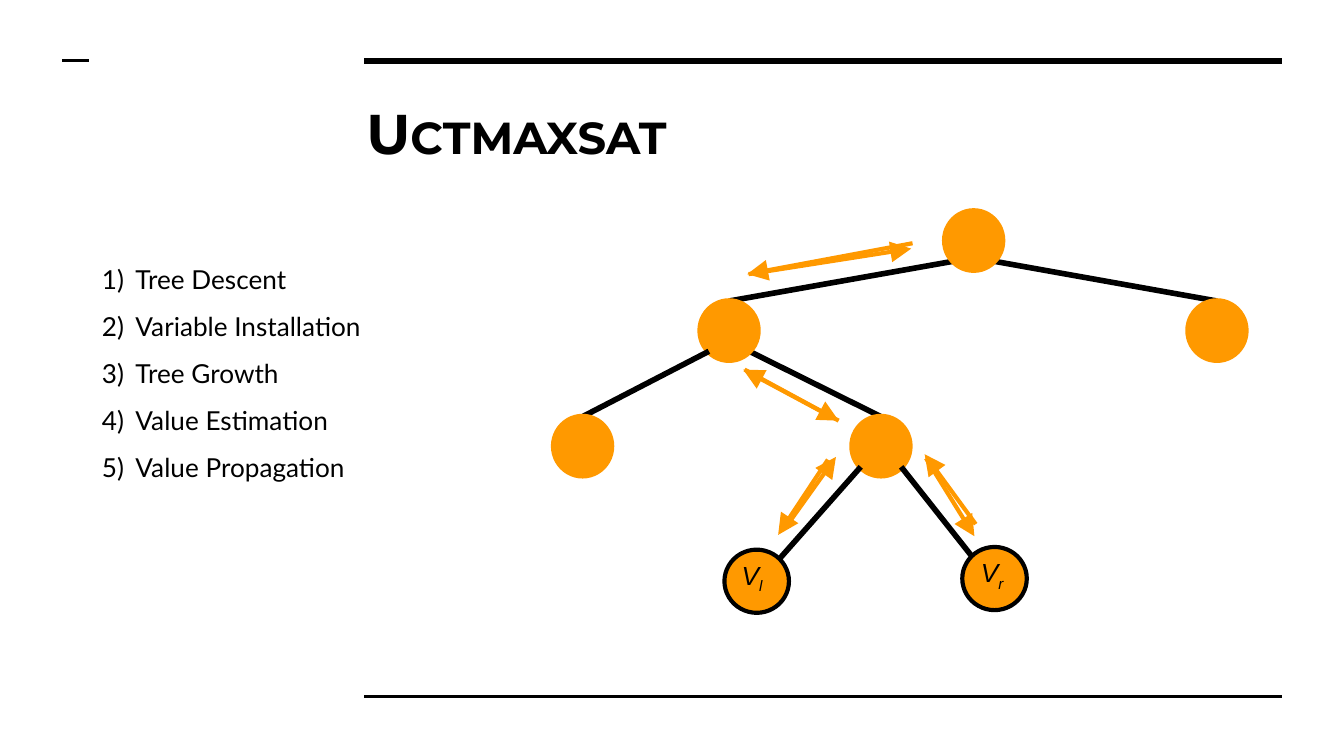
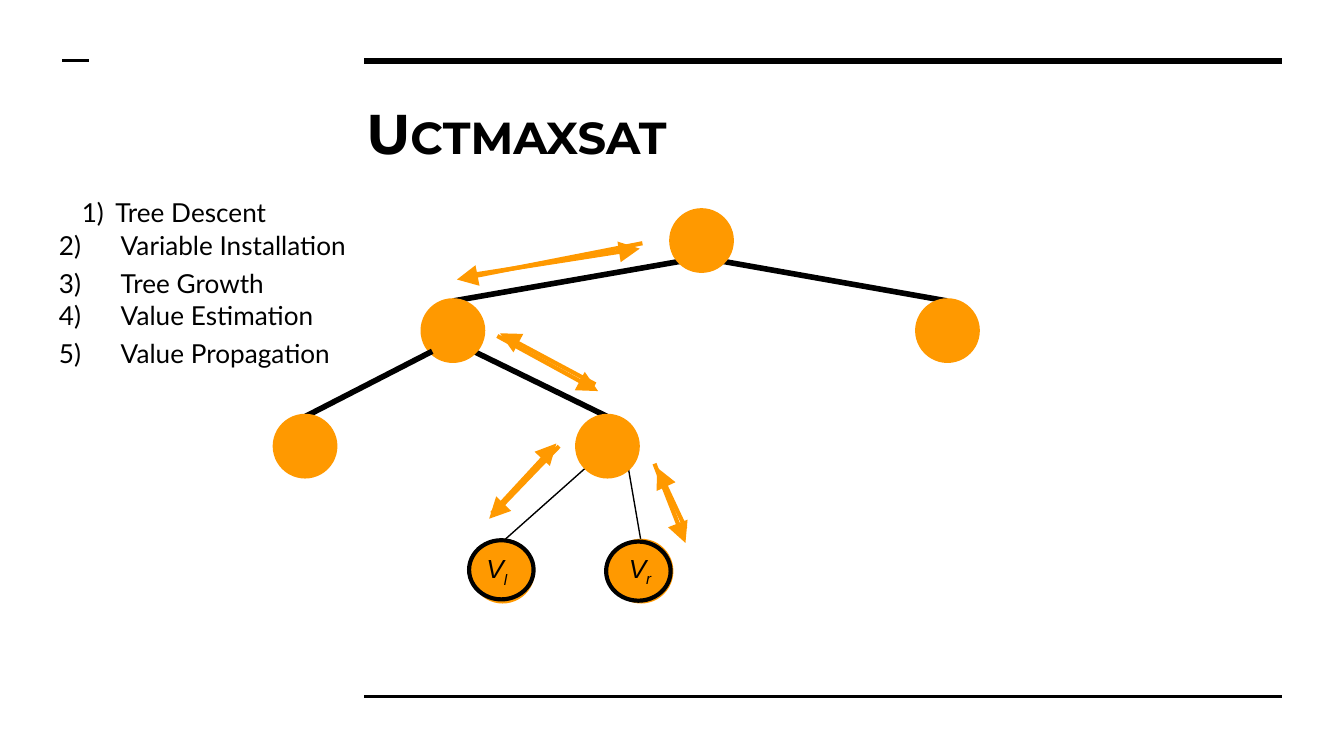
import dataclasses
import typing

import lxml.etree
import pptx
import pptx.dml.color
import pptx.enum.shapes
import pptx.enum.text
import pptx.oxml.ns
import pptx.util

COLORS = {"ink": "000000", "node": "FF9900", "paper": "FFFFFF"}
COLUMNS, ROWS = 100, 56.25
CELL = pptx.util.Inches(0.1)
INSET = pptx.util.Inches(0.1)
TITLE_BOX = (26.25, 6.3, 69.1, 6.9)
NODE_TOPS = {"root": 15.7, "left": 22.4, "right": 22.4, "inner": 31, "outer": 31}
STEPS = ["Tree Descent", "Variable Installation", "Tree Growth",
         "Value Estimation", "Value Propagation"]

# Points of an ellipse as shares of its width and height
SITES = {"top": (0.5, 0), "lower left": (0.15, 0.85), "lower right": (0.85, 0.85),
         "upper left": (0.15, 0.15), "upper right": (0.85, 0.15)}

Ends = tuple[float, float, float, float]
Box = tuple[float, float, float, float]


class Rule(typing.NamedTuple):
    left: float
    right: float
    row: float
    weight: float


class Edge(typing.NamedTuple):
    parent: str
    start: str
    child: str
    end: str = "top"
    weight: float = 3
    beneath: str | None = "root"


class Node(typing.NamedTuple):
    name: str
    box: Box
    fill: str | None = "node"
    line: str = "node"
    weight: float = 3


class Steps(typing.NamedTuple):
    box: Box
    first: int
    last: int
    automatic: bool = True
    margin: float = 5
    hanging: float = 2.5
    spacing: float = 1


@dataclasses.dataclass
class TreeSlide:
    node_lefts: tuple[float, ...]
    node_width: float
    leaves: list[Node]
    leaf_edges: list[Edge]
    arrows: list[Ends]
    labels: dict[str, Box]
    steps: list[Steps]


FRAME = [Rule(27.1, 95.4, 4.53, 3), Rule(27.1, 95.4, 51.8, 1.5),
         Rule(4.65, 6.65, 4.53, 1.5)]

TREE_EDGES = [
    Edge("root", "lower left", "left"),
    Edge("root", "lower right", "right"),
    Edge("left", "lower right", "inner"),
    Edge("left", "lower left", "outer", beneath="outer"),
]

SLIDES = [
    TreeSlide(
        node_lefts=(70.3, 52.1, 88.4, 63.4, 41.2),
        node_width=4.3,
        leaves=[Node("l", (53.9, 40.9, 4.8, 4.7), line="ink", weight=2.25),
                Node("r", (71.6, 40.7, 4.8, 4.7), line="ink", weight=2.25)],
        leaf_edges=[Edge("inner", "lower left", "l", "upper right", beneath=None),
                    Edge("inner", "lower right", "r", "upper left", beneath=None)],
        arrows=[(67.9, 18.1, 55.6, 20.4), (55.7, 20.4, 67.8, 18.5),
                (55.4, 27.5, 62.4, 31.3), (62.4, 31.3, 55.3, 27.5),
                (61.6, 34.2, 57.9, 39.8), (58.7, 38.9, 62.2, 34),
                (72.6, 39, 68.8, 33.8), (68.9, 34.1, 72.5, 39.9)],
        labels={"l": (54.2, 40.6, 4.8, 5.3), "r": (72, 40.4, 4.8, 5.6)},
        steps=[Steps((4.1, 17.4, 27.4, 22.1), 1, 5, spacing=1.5)],
    ),
    TreeSlide(
        node_lefts=(50, 31.5, 68.3, 43, 20.5),
        node_width=4.4,
        leaves=[Node("l", (35.2, 40.3, 4.4, 4.4), fill=None),
                Node("r", (45.5, 40.3, 4.4, 4.4), fill=None),
                Node("l front", (34.9, 40.2, 4.8, 4.4), line="ink", weight=2.25),
                Node("r front", (45.1, 40.3, 4.8, 4.4), line="ink", weight=2.25)],
        leaf_edges=[Edge("inner", "lower left", "l", weight=0.75),
                    Edge("inner", "lower right", "r", weight=0.75)],
        arrows=[(47.8, 18.1, 34, 20.8), (35.5, 20.4, 47.6, 18.5),
                (37, 25, 44.5, 29.1), (44.3, 28.6, 37.2, 24.8),
                (41.6, 33.2, 36.4, 38.6), (36.6, 38.2, 41.4, 33),
                (51, 39.3, 48.9, 34.8), (48.7, 34.5, 51, 40.4)],
        labels={"l": (35.2, 40.1, 4.9, 7.5), "r": (45.8, 40.1, 4.8, 5.6)},
        steps=[Steps((2.6, 13.6, 22.9, 4.4), 1, 1)] + [
            Steps((3.4, top, width, 4.4), number, number, False, 4.6, 4.6)
            for number, top, width in
            [(2, 16.1, 28.6), (3, 18.9, 22.9), (4, 21.3, 22.9), (5, 24.1, 22.9)]
        ],
    ),
]


def cells(*counts: float) -> list[int]:
    """Turn counts of columns or rows into lengths."""
    return [round(count * CELL) for count in counts]


def color(name: str) -> pptx.dml.color.RGBColor:
    return pptx.dml.color.RGBColor.from_string(COLORS[name])


def write(para, text: str, *, size: float, font: str, bold: bool = False,
          italic: bool = False, subscript: bool = False) -> None:
    span = para.add_run()
    span.text = text
    span.font.size = pptx.util.Pt(size)
    span.font.name = font
    span.font.bold = bold
    span.font.italic = italic
    span.font.color.rgb = color("ink")
    if subscript:
        span._r.get_or_add_rPr().set("baseline", "-25000")


def prepare_frame(frame) -> None:
    frame.word_wrap = True
    frame.auto_size = pptx.enum.text.MSO_AUTO_SIZE.NONE
    frame.vertical_anchor = pptx.enum.text.MSO_ANCHOR.TOP
    frame.margin_left = frame.margin_right = INSET
    frame.margin_top = frame.margin_bottom = INSET


def add_text_frame(page, box: Box):
    frame = page.shapes.add_textbox(*cells(*box)).text_frame
    prepare_frame(frame)
    return frame


def add_line(page, ends: Ends, line_color: str, weight: float, arrow: bool = False):
    line = page.shapes.add_connector(
        pptx.enum.shapes.MSO_CONNECTOR.STRAIGHT, *cells(*ends))
    line.line.color.rgb = color(line_color)
    line.line.width = pptx.util.Pt(weight)
    properties = line.element.spPr
    if arrow:
        outline = properties.find(pptx.oxml.ns.qn("a:ln"))
        lxml.etree.SubElement(outline, pptx.oxml.ns.qn("a:tailEnd"),
                              type="triangle", w="lg", len="lg")
    lxml.etree.SubElement(properties, pptx.oxml.ns.qn("a:effectLst"))
    return line


def add_node(page, node: Node):
    circle = page.shapes.add_shape(pptx.enum.shapes.MSO_SHAPE.OVAL, *cells(*node.box))
    circle.shadow.inherit = False
    if node.fill:
        circle.fill.solid()
        circle.fill.fore_color.rgb = color(node.fill)
    else:
        circle.fill.background()
    circle.line.color.rgb = color(node.line)
    circle.line.width = pptx.util.Pt(node.weight)
    return circle


def site_point(box: Box, site: str) -> tuple[float, float]:
    left, top, width, height = box
    across, down = SITES[site]
    return left + across * width, top + down * height


def add_tree(page, tree: TreeSlide) -> None:
    """Draw the nodes, then slip each edge beneath the node it names."""
    nodes = [Node(name, (left, top, tree.node_width, 4.4))
             for (name, top), left in zip(NODE_TOPS.items(), tree.node_lefts)]
    nodes += tree.leaves
    boxes = {node.name: node.box for node in nodes}
    circles = {node.name: add_node(page, node) for node in nodes}
    for edge in TREE_EDGES + tree.leaf_edges:
        ends = (*site_point(boxes[edge.parent], edge.start),
                *site_point(boxes[edge.child], edge.end))
        line = add_line(page, ends, "ink", edge.weight)
        if edge.end == "top":
            line.end_connect(circles[edge.child], 0)
        if edge.beneath:
            circles[edge.beneath].element.addprevious(line.element)


def add_steps(page, steps: Steps) -> None:
    """List steps with automatic numbers, or with typed numbers and a tab."""
    frame = add_text_frame(page, steps.box)
    for number in range(steps.first, steps.last + 1):
        para = frame.paragraphs[0] if number == steps.first else frame.add_paragraph()
        para.line_spacing = steps.spacing
        properties = para._p.get_or_add_pPr()
        margin, hanging = cells(steps.margin, steps.hanging)
        properties.set("marL", str(margin))
        properties.set("indent", str(-hanging))
        text = STEPS[number - 1]
        if steps.automatic:
            lxml.etree.SubElement(properties, pptx.oxml.ns.qn("a:buAutoNum"),
                                  type="arabicParenR")
        else:
            text = f"{number})\t{text}"
        write(para, text, size=14, font="Lato")


def add_label(page, subscript: str, box: Box) -> None:
    para = add_text_frame(page, box).paragraphs[0]
    write(para, "V", size=14, font="Arial", italic=True)
    write(para, subscript, size=14, font="Arial", italic=True, subscript=True)


def set_title(page) -> None:
    title = page.shapes.title
    title.left, title.top, title.width, title.height = cells(*TITLE_BOX)
    prepare_frame(title.text_frame)
    para = title.text_frame.paragraphs[0]
    para.alignment = pptx.enum.text.PP_ALIGN.LEFT
    write(para, "U", size=30, font="Montserrat", bold=True)
    write(para, "CTMAXSAT", size=24, font="Montserrat", bold=True)


def add_frame_to_layout(page) -> None:
    """Draw the rules on a page and hand them to its layout."""
    for rule in FRAME:
        line = add_line(page, (rule.left, rule.row, rule.right, rule.row),
                        "ink", rule.weight)
        page.slide_layout.shapes.element.append(line.element)


def main() -> None:
    deck = pptx.Presentation()
    deck.slide_width, deck.slide_height = cells(COLUMNS, ROWS)
    layout = deck.slide_layouts.get_by_name("Title Only")
    layout.background.fill.solid()
    layout.background.fill.fore_color.rgb = color("paper")
    for index, tree in enumerate(SLIDES):
        page = deck.slides.add_slide(layout)
        if index == 0:
            add_frame_to_layout(page)
        set_title(page)
        add_tree(page, tree)
        for arrow in tree.arrows:
            add_line(page, arrow, "node", 2.25, arrow=True)
        for subscript, box in tree.labels.items():
            add_label(page, subscript, box)
        for steps in tree.steps:
            add_steps(page, steps)
    deck.save("out.pptx")


if __name__ == "__main__":
    main()
